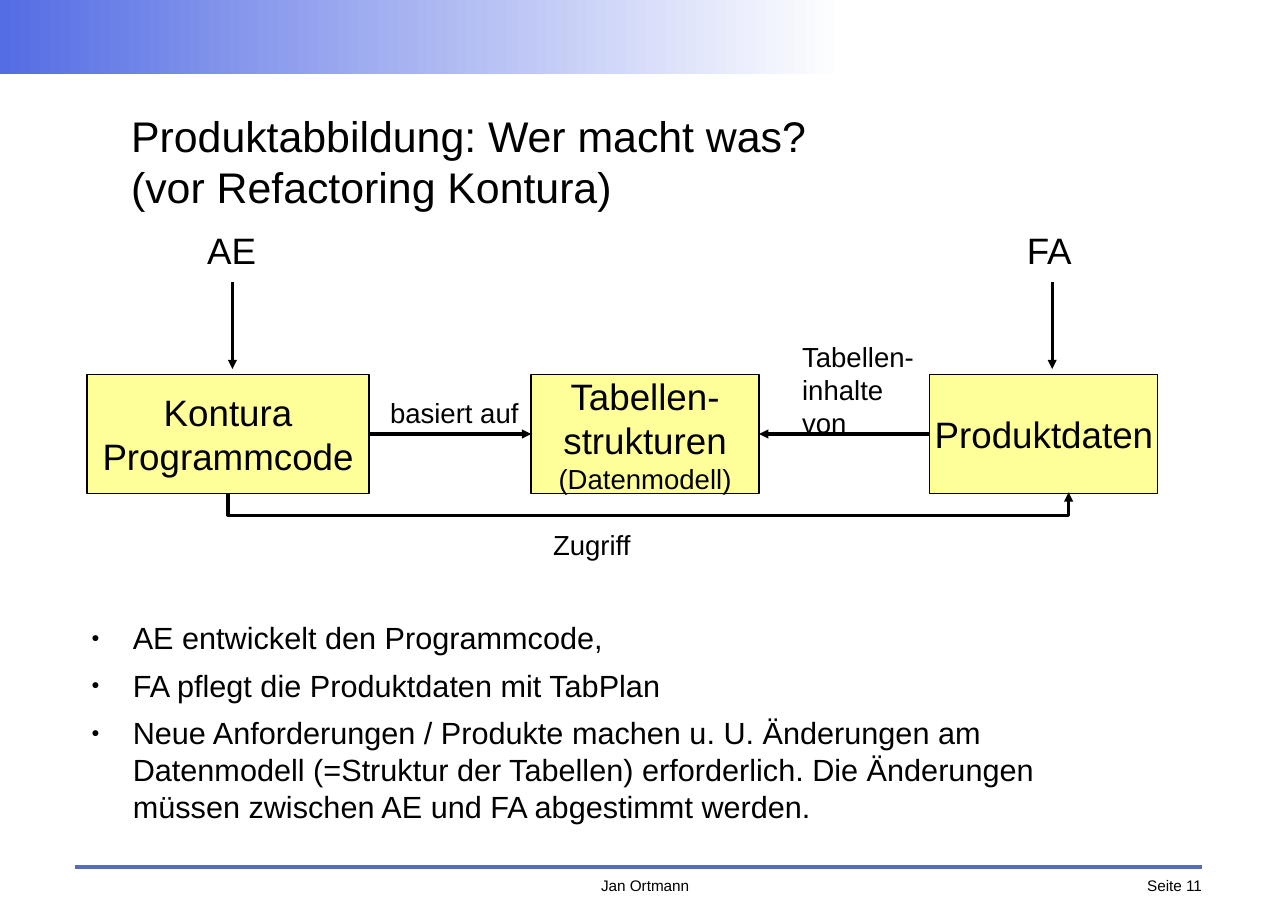
"""Build the slide on who maintains which part of the product model."""
from dataclasses import dataclass

from lxml import etree
from pptx import Presentation
from pptx import util as u
from pptx.dml import color
from pptx.enum import shapes as sh, text as tx
from pptx.oxml import ns

PX = 9144


@dataclass(frozen=True)
class Theme:
    """Colours and type sizes of the slide."""
    font: str = "Arial"
    ink: str = "000000"
    box: str = "FFFF99"
    rule: str = "576BBF"
    band: str = "556DE4"
    paper: str = "FFFFFF"
    title: int = 28
    head: int = 24
    body: int = 20
    note: int = 18
    foot: int = 10


@dataclass(frozen=True)
class Box:
    """A yellow box with lines of text and their sizes."""
    left: int
    width: int
    lines: tuple[tuple[str, int], ...]


@dataclass(frozen=True)
class Label:
    """A free text with its place, size and alignment."""
    area: tuple[int, int, int, int]
    lines: tuple[str, ...]
    size: int
    align: tx.PP_ALIGN = tx.PP_ALIGN.LEFT


@dataclass(frozen=True)
class Line:
    """A straight line with its ends and look."""
    start: tuple[int, int]
    end: tuple[int, int]
    tint: str
    width: float = 0
    arrow: bool = True


T = Theme()
TOP, HIGH, MID = 340, 108, 394
LEFT, CENTER, RIGHT = tx.PP_ALIGN.LEFT, tx.PP_ALIGN.CENTER, tx.PP_ALIGN.RIGHT

BOXES = (
    Box(79, 256, (("Kontura", T.head), ("Programmcode", T.head))),
    Box(482, 207, (("Tabellen-", T.head), ("strukturen", T.head),
                   ("(Datenmodell)", T.note))),
    Box(844, 207, (("Produktdaten", T.head),)),
)
LABELS = (
    Label((188, 207, 60, 37), ("AE",), T.head),
    Label((932, 207, 60, 37), ("FA",), T.head),
    Label((354, 359, 124, 28), ("basiert auf",), T.note),
    Label((728, 309, 108, 84), ("Tabellen-", "inhalte von"), T.note),
    Label((502, 479, 167, 28), ("Zugriff",), T.note),
    Label((505, 795, 161, 20), ("Jan Ortmann",), T.foot, CENTER),
    Label((941, 795, 150, 20), ("Seite 11",), T.foot, RIGHT),
)
LINES = (
    Line((68, 787), (1091, 787), T.rule, 2.83, False),
    Line((211, 256), (211, 335), T.ink),
    Line((955, 256), (955, 335), T.ink),
    Line((335, MID), (482, MID), T.ink),
    Line((844, MID), (689, MID), T.ink),
)
TITLE = ("Produktabbildung: Wer macht was?\n(vor Refactoring Kontura)",)
POINTS = (
    "AE entwickelt den Programmcode,",
    "FA pflegt die Produktdaten mit TabPlan",
    "Neue Anforderungen / Produkte machen u. U. Änderungen am "
    "Datenmodell (=Struktur der Tabellen) erforderlich. Die Änderungen "
    "müssen zwischen AE und FA abgestimmt werden.",
)


def rgb(code: str) -> color.RGBColor:
    """Turn a hex code into a colour."""
    return color.RGBColor.from_string(code)


def put(item, form: dict) -> None:
    """Set attributes from format values."""
    for key, val in form.items():
        setattr(item, key, val)


def place(item, area: tuple[int, int, int, int]) -> None:
    """Move a shape to an area in px."""
    put(item, dict(zip(("left", "top", "width", "height"),
                       (n * PX for n in area))))


def add(root, tag: str, **attrs: str):
    """Append a drawing element."""
    return etree.SubElement(root, ns.qn(tag), attrs)


def write(shape, lines: tuple[tuple[str, int], ...], align=LEFT,
          anchor=tx.MSO_ANCHOR.TOP, after: float = 0) -> None:
    """Fill a shape with formatted paragraphs."""
    frame = shape.text_frame
    put(frame, {"word_wrap": True, "auto_size": tx.MSO_AUTO_SIZE.NONE,
                "vertical_anchor": anchor, "margin_left": 0, "margin_top": 0,
                "margin_right": 0, "margin_bottom": 0})
    for i, (words, size) in enumerate(lines):
        para = frame.add_paragraph() if i else frame.paragraphs[0]
        put(para, {"text": words, "alignment": align,
                   "space_before": u.Pt(0), "space_after": u.Pt(after)})
        for run in para.runs:
            put(run.font, {"name": T.font, "size": u.Pt(size)})
            run.font.color.rgb = rgb(T.ink)


def style(link, tint: str, width: float, arrow: bool) -> None:
    """Format a connector without shadow."""
    link.line.color.rgb = rgb(tint)
    link.line.width = u.Pt(width)
    prop = link.element.spPr
    if arrow:
        add(prop.find(ns.qn("a:ln")), "a:tailEnd", type="triangle")
    add(prop, "a:effectLst")


def draw_box(slide, box: Box) -> None:
    """Draw a yellow box."""
    rect = slide.shapes.add_shape(sh.MSO_SHAPE.RECTANGLE, 0, 0, PX, PX)
    place(rect, (box.left, TOP, box.width, HIGH))
    rect.shadow.inherit = False
    rect.fill.solid()
    rect.fill.fore_color.rgb = rgb(T.box)
    rect.line.color.rgb = rgb(T.ink)
    rect.line.width = u.Pt(0)
    write(rect, box.lines, CENTER, tx.MSO_ANCHOR.MIDDLE)


def draw_label(slide, label: Label) -> None:
    """Draw a free text."""
    item = slide.shapes.add_textbox(*(n * PX for n in label.area))
    write(item, tuple((s, label.size) for s in label.lines), label.align)


def draw_line(slide, line: Line) -> None:
    """Draw a straight line or arrow."""
    ends = (n * PX for n in line.start + line.end)
    link = slide.shapes.add_connector(sh.MSO_CONNECTOR.STRAIGHT, *ends)
    style(link, line.tint, line.width, line.arrow)


def draw_loop(slide) -> None:
    """Draw the access arrow that runs below the boxes."""
    ends = (n * PX for n in (589, 829, 588, 66))
    link = slide.shapes.add_connector(sh.MSO_CONNECTOR.ELBOW, *ends)
    prop = link.element.spPr
    prop.find(ns.qn("a:xfrm")).set("rot", "5400000")
    vals = prop.find(ns.qn("a:prstGeom")).find(ns.qn("a:avLst"))
    add(vals, "a:gd", name="adj1", fmla="val -2000000")
    style(link, T.ink, 0, True)


def draw_band(slide) -> None:
    """Draw the fading band at the top."""
    band = slide.shapes.add_shape(sh.MSO_SHAPE.RECTANGLE, 0, 0, 767 * PX, 67 * PX)
    band.shadow.inherit = False
    band.line.fill.background()
    band.fill.gradient()
    band.fill.gradient_angle = 0
    for stop, tint in zip(band.fill.gradient_stops, (T.band, T.paper)):
        stop.color.rgb = rgb(tint)


def fill_text(slide) -> None:
    """Fill the title and the bullet list."""
    title, body = slide.placeholders
    place(title, (119, 95, 931, 102))
    write(title, tuple((s, T.title) for s in TITLE), anchor=tx.MSO_ANCHOR.MIDDLE)
    place(body, (83, 562, 931, 176))
    write(body, tuple((s, T.body) for s in POINTS), after=7.1)
    for para in body.text_frame.paragraphs:
        prop = para._p.get_or_add_pPr()
        put(prop, {"marL": u.Emu(47 * PX), "indent": u.Emu(-35 * PX)})
        add(add(prop, "a:buClr"), "a:srgbClr", val=T.ink)
        add(prop, "a:buSzPct", val="45000")
        add(prop, "a:buFont", typeface=T.font)
        add(prop, "a:buChar", char="●")


def main() -> None:
    """Build and save the slide."""
    deck = Presentation()
    put(deck, {"slide_width": 1169 * PX, "slide_height": 827 * PX})
    slide = deck.slides.add_slide(deck.slide_layouts[1])
    draw_band(slide)
    fill_text(slide)
    for items, draw in ((BOXES, draw_box), (LABELS, draw_label), (LINES, draw_line)):
        for item in items:
            draw(slide, item)
    draw_loop(slide)
    deck.save("out.pptx")


if __name__ == "__main__":
    main()
